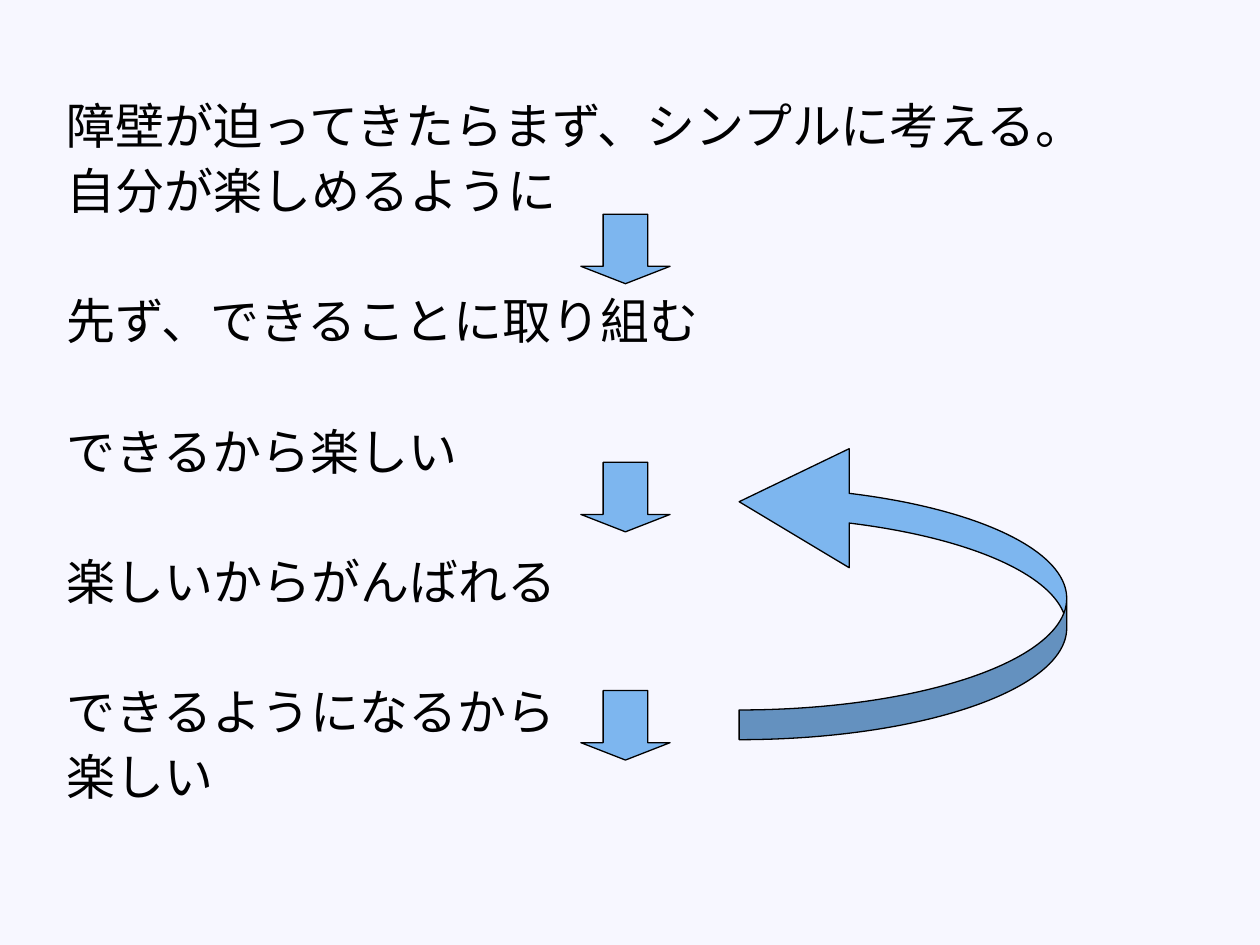
from lxml import etree
from pptx import Presentation
from pptx.dml.color import RGBColor
from pptx.enum import shapes, text
from pptx.oxml.ns import qn
from pptx.util import Pt

BACKGROUND = RGBColor(0xF7, 0xF7, 0xFF)
BLUE = RGBColor(0x7D, 0xB6, 0xEF)
BLACK = RGBColor(0, 0, 0)

LINE_GAP = 7
STEP_GAP = 44.2  # one empty line more than LINE_GAP

# Each step is a group of lines
STEPS = [
    ["障壁が迫ってきたらまず、シンプルに考える。", "自分が楽しめるように"],
    ["先ず、できることに取り組む"],
    ["できるから楽しい"],
    ["楽しいからがんばれる"],
    ["できるようになるから", "楽しい"],
]


def write_line(para, content, *, size, color, before):
    para.line_spacing = 0.9
    para.space_before = Pt(before)
    properties = para._p.get_or_add_pPr()
    properties.set("marL", str(Pt(27)))
    properties.set("indent", str(Pt(-27)))
    etree.SubElement(properties, qn("a:buNone"))
    span = para.add_run()
    span.text = content
    span.font.name = "Arial"
    span.font.size = Pt(size)
    span.font.color.rgb = color


def add_arrow(page, preset, left, top, width, height, adjustments):
    arrow = page.shapes.add_shape(preset, Pt(left), Pt(top), Pt(width), Pt(height))
    arrow.shadow.inherit = False
    arrow.fill.solid()
    arrow.fill.fore_color.rgb = BLUE
    arrow.line.color.rgb = BLACK
    arrow.line.width = Pt(0.75)
    for index, value in enumerate(adjustments):
        arrow.adjustments[index] = value
    return arrow


deck = Presentation()
deck.slide_width, deck.slide_height = Pt(720), Pt(540)
page = deck.slides.add_slide(deck.slide_layouts[1])
page.background.fill.solid()
page.background.fill.fore_color.rgb = BACKGROUND

title = page.shapes.title
title.element.getparent().remove(title.element)

body = page.placeholders[1]
body.left, body.top, body.width, body.height = Pt(31), Pt(54.7), Pt(648), Pt(430.6)
frame = body.text_frame
frame.word_wrap = True
frame.auto_size = text.MSO_AUTO_SIZE.NONE
frame.vertical_anchor = text.MSO_ANCHOR.TOP

for step_index, step in enumerate(STEPS):
    for line_index, line in enumerate(step):
        if step_index == line_index == 0:
            para, before = frame.paragraphs[0], 0
        else:
            para = frame.add_paragraph()
            before = LINE_GAP if line_index else STEP_GAP
        write_line(para, line, size=28, color=BLACK, before=before)

for top in (122.4, 264.2, 394.6):
    add_arrow(page, shapes.MSO_SHAPE.DOWN_ARROW, 331.9, top, 51, 39.7, (0.5, 0.25))

return_arrow = add_arrow(page, shapes.MSO_SHAPE.CURVED_LEFT_ARROW,
                         422.4, 252.7, 187.2, 170, (0.1, 0.4, 0.37))
return_arrow.element.spPr.xfrm.set("flipV", "1")

deck.save("out.pptx")
